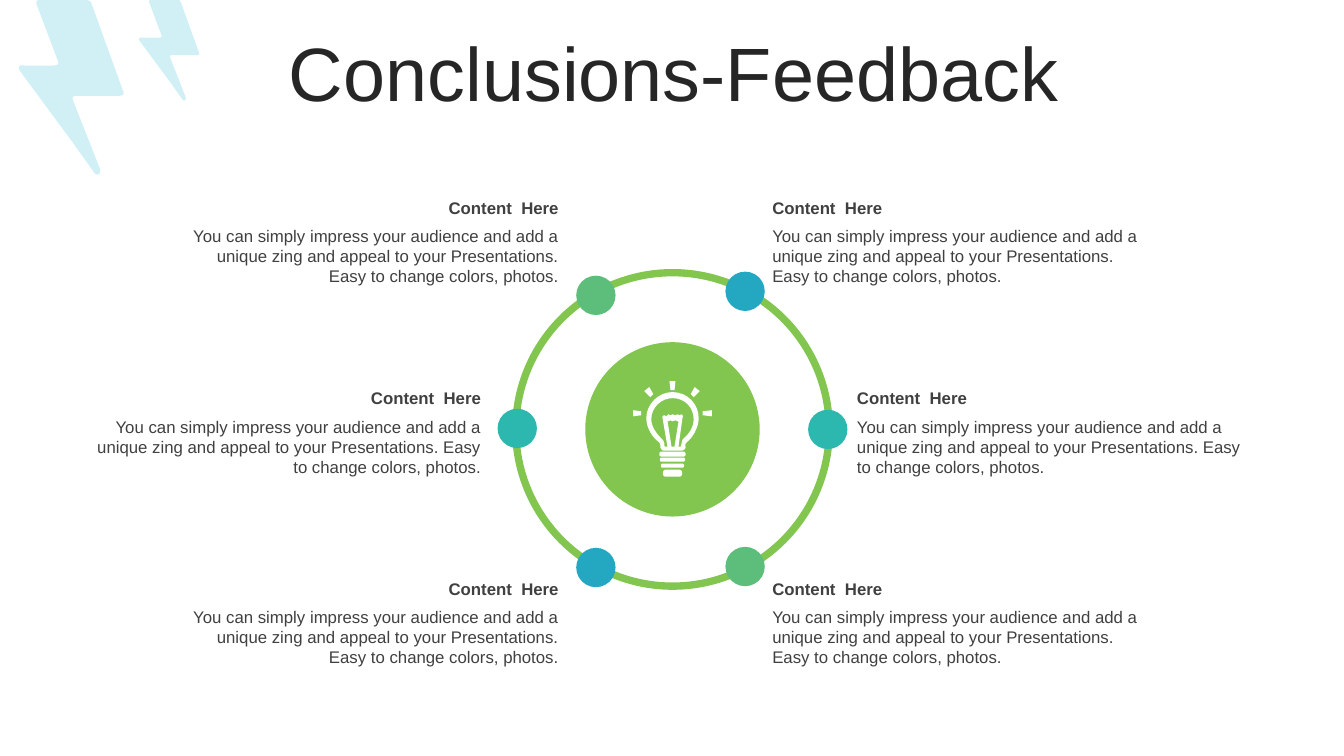
import pptx
import pptx.util
import pptx.dml.color
import pptx.enum.shapes
import pptx.enum.text

Inches = pptx.util.Inches
SHAPE = pptx.enum.shapes.MSO_SHAPE
ALIGN = pptx.enum.text.PP_ALIGN
ANCHOR = pptx.enum.text.MSO_ANCHOR

GREEN, MINT, TEAL, BLUE = "82C650", "5CBE7A", "2CB8AE", "24A8C2"
PALE_BLUE, WHITE, DARK, GREY = "D0F0F6", "FFFFFF", "262626", "404040"

HEADING = "Content  Here"
BODY = ("You can simply impress your audience and add a unique zing and appeal "
        "to your Presentations. Easy to change colors, photos.")

# Contours: a start point, then line ends (x, y) or Bezier curves (six numbers)
BOLT = [[(0.44, 0), (0.66, 0), (0.69, 0, 0.71, 0.01, 0.72, 0.04), (1.03, 0.9),
         (1.05, 0.93, 1.03, 0.95, 0.99, 0.95), (0.59, 0.95),
         (0.53, 0.95, 0.52, 0.96, 0.54, 1.01), (0.8, 1.67),
         (0.82, 1.72, 0.78, 1.75, 0.75, 1.72), (0.53, 1.41), (0.02, 0.72),
         (0.01, 0.7, -0.01, 0.69, 0, 0.66), (0.02, 0.64, 0.04, 0.65, 0.05, 0.65),
         (0.34, 0.65), (0.39, 0.65, 0.4, 0.63, 0.38, 0.59), (0.18, 0.06),
         (0.16, 0.01, 0.17, 0, 0.22, 0)]]
GLASS_OUTER = [(0.39, 0.11), (0.54, 0.11, 0.65, 0.23, 0.65, 0.37),
               (0.65, 0.47, 0.58, 0.57, 0.53, 0.61), (0.51, 0.63, 0.52, 0.64, 0.52, 0.66),
               (0.51, 0.68, 0.5, 0.69, 0.48, 0.69), (0.3, 0.69),
               (0.29, 0.69, 0.28, 0.68, 0.27, 0.66), (0.27, 0.64, 0.27, 0.63, 0.26, 0.61),
               (0.2, 0.57, 0.13, 0.47, 0.13, 0.37), (0.13, 0.23, 0.25, 0.11, 0.39, 0.11)]
GLASS_INNER = [(0.39, 0.17), (0.28, 0.17, 0.18, 0.26, 0.18, 0.38),
               (0.18, 0.46, 0.24, 0.53, 0.28, 0.57), (0.3, 0.59, 0.3, 0.59, 0.31, 0.62),
               (0.31, 0.65, 0.31, 0.65, 0.32, 0.65), (0.34, 0.65), (0.29, 0.36),
               (0.29, 0.35, 0.3, 0.34, 0.31, 0.34), (0.33, 0.35), (0.35, 0.33),
               (0.37, 0.34), (0.39, 0.33), (0.42, 0.34), (0.44, 0.33), (0.46, 0.34),
               (0.48, 0.33), (0.49, 0.34, 0.5, 0.35, 0.49, 0.36), (0.45, 0.65),
               (0.46, 0.65), (0.48, 0.65, 0.47, 0.65, 0.48, 0.62),
               (0.49, 0.59, 0.48, 0.59, 0.5, 0.57), (0.55, 0.53, 0.6, 0.46, 0.6, 0.38),
               (0.6, 0.26, 0.51, 0.17, 0.39, 0.17)]
FILAMENT = [(0.37, 0.39), (0.35, 0.4), (0.34, 0.39), (0.38, 0.65), (0.41, 0.65),
            (0.45, 0.4), (0.44, 0.4), (0.42, 0.39), (0.39, 0.4)]
RAYS = [[(0.78, 0.29), (0.78, 0.35), (0.69, 0.34), (0.69, 0.3)],
        [(0, 0.29), (0.08, 0.3), (0.08, 0.34), (0, 0.35)],
        [(0.61, 0.06), (0.66, 0.1), (0.6, 0.16), (0.57, 0.13)],
        [(0.16, 0.06), (0.2, 0.13), (0.17, 0.16), (0.11, 0.1)],
        [(0.36, 0), (0.42, 0), (0.41, 0.09), (0.37, 0.09)]]


def rgb(colour):
    return pptx.dml.color.RGBColor.from_string(colour)


def paint(shape, fill=None, line=None, width=1):
    shape.shadow.inherit = False
    if fill:
        shape.fill.solid()
        shape.fill.fore_color.rgb = rgb(fill)
    else:
        shape.fill.background()
    if line:
        shape.line.color.rgb = rgb(line)
        shape.line.width = pptx.util.Pt(width)
    else:
        shape.line.fill.background()


def write(frame, text, size=12, colour=GREY, bold=False, align=ALIGN.LEFT,
          anchor=ANCHOR.TOP):
    frame.word_wrap = True
    frame.vertical_anchor = anchor
    frame.text = text
    paragraph = frame.paragraphs[0]
    paragraph.alignment = align
    paragraph.font.name = "Arial"
    paragraph.font.size = pptx.util.Pt(size)
    paragraph.font.bold = bold
    paragraph.font.color.rgb = rgb(colour)
    return paragraph


def trace(contour, steps=8):
    """Turn lines and curves into a list of points."""
    points = [contour[0]]
    for segment in contour[1:]:
        if len(segment) == 2:
            points.append(segment)
            continue
        start, (ax, ay, bx, by, x, y) = points[-1], segment
        for step in range(1, steps + 1):
            t = step / steps
            weights = ((1 - t) ** 3, 3 * t * (1 - t) ** 2, 3 * t * t * (1 - t), t ** 3)
            points.append((sum(w * v for w, v in zip(weights, (start[0], ax, bx, x))),
                           sum(w * v for w, v in zip(weights, (start[1], ay, by, y)))))
    return points


def draw_outline(slide, left, top, contours, colour, scale=1):
    builder = None
    for contour in contours:
        points = [(Inches(left + x * scale), Inches(top + y * scale))
                  for x, y in trace(contour)]
        if builder is None:
            builder = slide.shapes.build_freeform(*points[0], scale=1.0)
        else:
            builder.move_to(*points[0])
        builder.add_line_segments(points[1:], close=True)
    paint(builder.convert_to_shape(), colour)


def draw_circle(slide, x, y, diameter, **style):
    circle = slide.shapes.add_shape(
        SHAPE.OVAL, Inches(x - diameter / 2), Inches(y - diameter / 2),
        Inches(diameter), Inches(diameter))
    paint(circle, **style)


def add_title(slide, left, top, width, height):
    title = slide.shapes.title
    title.left, title.top = Inches(left), Inches(top)
    title.width, title.height = Inches(width), Inches(height)
    paragraph = write(title.text_frame, "Conclusions-Feedback", size=54, colour=DARK,
                      align=ALIGN.CENTER, anchor=ANCHOR.MIDDLE)
    paragraph.line_spacing = 0.9


def add_bulb(slide, left, top):
    draw_outline(slide, left, top, [GLASS_OUTER, GLASS_INNER, FILAMENT] + RAYS, WHITE)
    # Screw base, narrowing downwards
    for row, (width, height) in enumerate([(0.26, 0.05), (0.25, 0.04),
                                           (0.23, 0.04), (0.19, 0.07)]):
        thread = slide.shapes.add_shape(
            SHAPE.ROUNDED_RECTANGLE, Inches(left + 0.39 - width / 2),
            Inches(top + 0.7 + 0.06 * row), Inches(width), Inches(height))
        thread.adjustments[0] = 0.4
        paint(thread, WHITE)


def add_wheel(slide, x, y):
    draw_circle(slide, x, y, 1.73, fill=GREEN)
    draw_circle(slide, x, y, 3.11, line=GREEN, width=5.25)
    for dx, dy, colour in [(0.72, -1.37, BLUE), (0.72, 1.36, MINT), (1.54, 0, TEAL),
                           (-0.76, -1.33, MINT), (-0.76, 1.37, BLUE),
                           (-1.54, -0.01, TEAL)]:
        draw_circle(slide, x + dx, y + dy, 0.39, fill=colour)
    add_bulb(slide, x - 0.39, y - 0.48)


def add_note(slide, left, top, width, align):
    for text, offset, height, bold, anchor in [
            (HEADING, 0, 0.3, True, ANCHOR.MIDDLE),
            (BODY, 0.28, 0.71, False, ANCHOR.TOP)]:
        box = slide.shapes.add_textbox(Inches(left), Inches(top + offset),
                                       Inches(width), Inches(height))
        box.text_frame.margin_left = 0
        write(box.text_frame, text, bold=bold, align=align, anchor=anchor)
        box.text_frame.auto_size = pptx.enum.text.MSO_AUTO_SIZE.SHAPE_TO_FIT_TEXT


def main():
    deck = pptx.Presentation()
    deck.slide_width, deck.slide_height = Inches(13.33), Inches(7.5)
    slide = deck.slides.add_slide(deck.slide_layouts[5])

    # Lightning bolts in the corner
    draw_outline(slide, 0.19, 0, BOLT, PALE_BLUE)
    draw_outline(slide, 1.38, 0, BOLT, PALE_BLUE, scale=0.575)

    add_title(slide, 0.35, 0.37, 12.66, 0.79)
    add_wheel(slide, 6.67, 4.26)

    # Three rows of notes on each side of the wheel
    for row, (right_side, left_side) in enumerate([
            ((7.66, 3.8), (1.84, 3.8)),
            ((8.5, 3.96), (0.89, 3.98)),
            ((7.66, 3.8), (1.84, 3.8))]):
        top = 1.91 + 1.89 * row
        for (left, width), align in ((right_side, ALIGN.LEFT), (left_side, ALIGN.RIGHT)):
            add_note(slide, left, top, width, align)

    deck.save("out.pptx")


if __name__ == "__main__":
    main()
